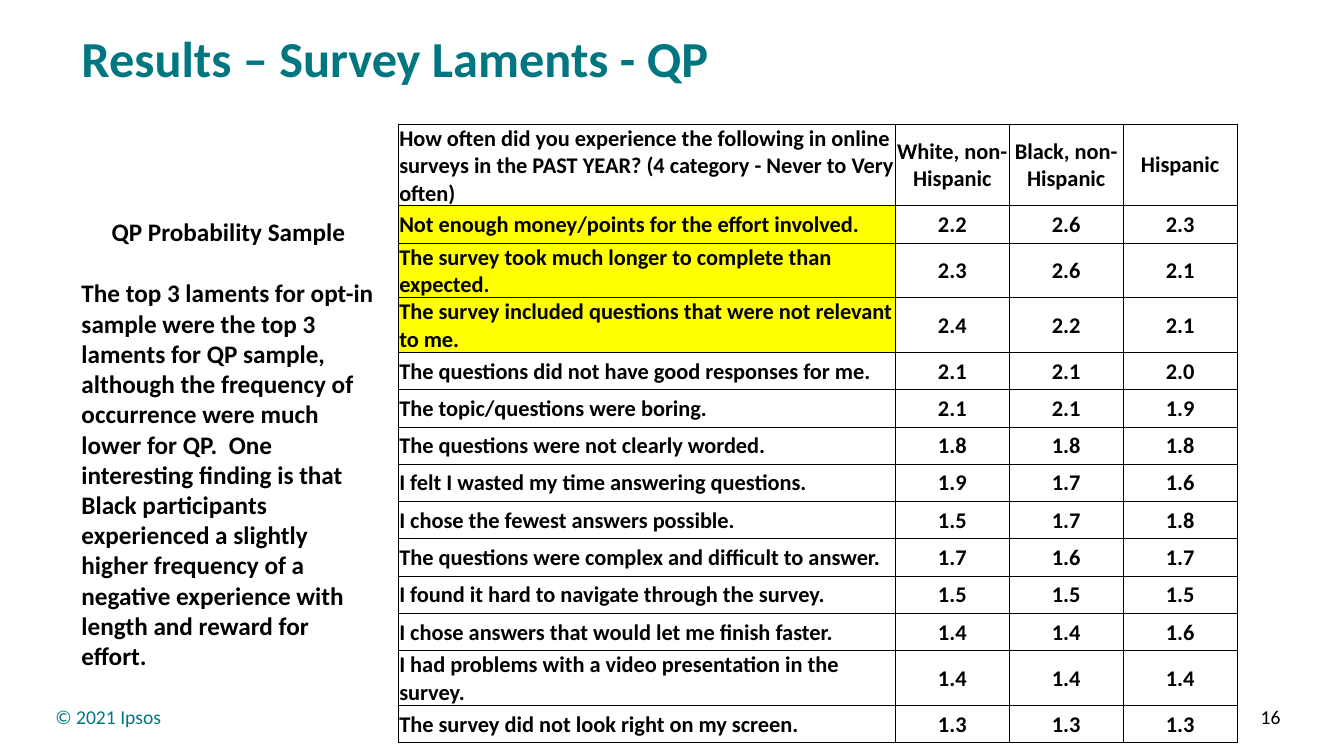
from lxml import etree
from pptx import Presentation
from pptx.dml.color import RGBColor
from pptx.enum.text import MSO_ANCHOR, PP_ALIGN
from pptx.oxml.ns import qn
from pptx.util import Inches, Pt

MIDDLE, TOP = MSO_ANCHOR.MIDDLE, MSO_ANCHOR.TOP
LEFT, CENTER, RIGHT = PP_ALIGN.LEFT, PP_ALIGN.CENTER, PP_ALIGN.RIGHT

TEAL = RGBColor(0x00, 0x76, 0x81)
BLACK = RGBColor(0x00, 0x00, 0x00)
YELLOW = RGBColor(0xFF, 0xFF, 0x00)
FONT = "Calibri"

COLUMN_WIDTHS = (4.93, 1.13, 1.13, 1.13)
HEADER_HEIGHT, ONE_LINE_HEIGHT, TWO_LINE_HEIGHT = 0.78, 0.37, 0.52
TWO_LINE_ROWS = (2, 3, 12)
TOP_LAMENT_ROWS = (1, 2, 3)

HEADINGS = (
    "How often did you experience the following in online surveys in the "
    "PAST YEAR? (4 category - Never to Very often)",
    "White, non-Hispanic", "Black, non-Hispanic", "Hispanic",
)
LAMENTS = (
    ("Not enough money/points for the effort involved.", 2.2, 2.6, 2.3),
    ("The survey took much longer to complete than expected.", 2.3, 2.6, 2.1),
    ("The survey included questions that were not relevant to me.", 2.4, 2.2, 2.1),
    ("The questions did not have good responses for me.", 2.1, 2.1, 2.0),
    ("The topic/questions were boring.", 2.1, 2.1, 1.9),
    ("The questions were not clearly worded.", 1.8, 1.8, 1.8),
    ("I felt I wasted my time answering questions.", 1.9, 1.7, 1.6),
    ("I chose the fewest answers possible.", 1.5, 1.7, 1.8),
    ("The questions were complex and difficult to answer.", 1.7, 1.6, 1.7),
    ("I found it hard to navigate through the survey.", 1.5, 1.5, 1.5),
    ("I chose answers that would let me finish faster.", 1.4, 1.4, 1.6),
    ("I had problems with a video presentation in the survey.", 1.4, 1.4, 1.4),
    ("The survey did not look right on my screen.", 1.3, 1.3, 1.3),
)
FINDING = (
    "The top 3 laments for opt-in sample were the top 3 laments for QP sample, "
    "although the frequency of occurrence were much lower for QP.  One "
    "interesting finding is that Black participants experienced a slightly "
    "higher frequency of a negative experience with length and reward for effort."
)


def write(paragraph, text, size, color=BLACK, bold=False, align=LEFT):
    paragraph.alignment = align
    run = paragraph.add_run()
    run.text = text
    run.font.name = FONT
    run.font.size = Pt(size)
    run.font.bold = bold
    run.font.color.rgb = color


def add_text_frame(slide, box, anchor):
    frame = slide.shapes.add_textbox(*map(Inches, box)).text_frame
    frame.word_wrap = True
    frame.vertical_anchor = anchor
    return frame


def add_title(slide, box):
    paragraph = add_text_frame(slide, box, MIDDLE).paragraphs[0]
    paragraph.line_spacing = 0.9
    write(paragraph, "Results – Survey Laments - QP", 36, TEAL, bold=True)


def add_footer(slide, box):
    """Put the copyright line at the left end of the box, the page number at the right."""
    left, top, width, height = box
    part_width = 3
    copyright_box = (left, top, part_width, height)
    number_box = (left + width - part_width, top, part_width, height)
    write(add_text_frame(slide, copyright_box, MIDDLE).paragraphs[0],
          "© 2021 Ipsos", 14, TEAL)
    write(add_text_frame(slide, number_box, MIDDLE).paragraphs[0],
          "16", 14, align=RIGHT)


def add_commentary(slide, box):
    frame = add_text_frame(slide, box, TOP)
    write(frame.paragraphs[0], "QP Probability Sample", 18, bold=True, align=CENTER)
    finding = frame.add_paragraph()
    finding.space_before = Pt(22)
    write(finding, FINDING, 18, bold=True)


def add_borders(cell):
    properties = cell._tc.get_or_add_tcPr()
    for side in ("a:lnL", "a:lnR", "a:lnT", "a:lnB"):
        line = etree.SubElement(properties, qn(side), w=str(Pt(0.5)))
        fill = etree.SubElement(line, qn("a:solidFill"))
        etree.SubElement(fill, qn("a:srgbClr"), val=str(BLACK))


def fill_cell(cell, text, align, highlighted):
    cell.margin_left = cell.margin_right = cell.margin_top = Inches(0.01)
    cell.margin_bottom = 0
    cell.vertical_anchor = MIDDLE
    add_borders(cell)
    if highlighted:
        cell.fill.solid()
        cell.fill.fore_color.rgb = YELLOW
    else:
        cell.fill.background()
    write(cell.text_frame.paragraphs[0], text, 16, bold=True, align=align)


def row_height(row):
    if row == 0:
        return HEADER_HEIGHT
    return TWO_LINE_HEIGHT if row in TWO_LINE_ROWS else ONE_LINE_HEIGHT


def add_laments_table(slide, box):
    rows = (HEADINGS, *LAMENTS)
    table = slide.shapes.add_table(
        len(rows), len(HEADINGS), *map(Inches, box)).table
    table.first_row = table.horz_banding = False
    for column, width in zip(table.columns, COLUMN_WIDTHS):
        column.width = Inches(width)
    for r, values in enumerate(rows):
        table.rows[r].height = Inches(row_height(r))
        for c, value in enumerate(values):
            fill_cell(table.cell(r, c), str(value), CENTER if c else LEFT,
                      highlighted=c == 0 and r in TOP_LAMENT_ROWS)


def main():
    presentation = Presentation()
    presentation.slide_width = Inches(13.33)
    presentation.slide_height = Inches(7.5)
    slide = presentation.slides.add_slide(presentation.slide_layouts[6])
    add_footer(slide, (0.45, 6.91, 12.35, 0.4))
    add_title(slide, (0.71, 0.16, 11.42, 0.9))
    add_laments_table(slide, (3.95, 1.23, 8.32, 6.11))
    add_commentary(slide, (0.71, 2.1, 3.11, 4.64))
    presentation.save("out.pptx")


if __name__ == "__main__":
    main()
